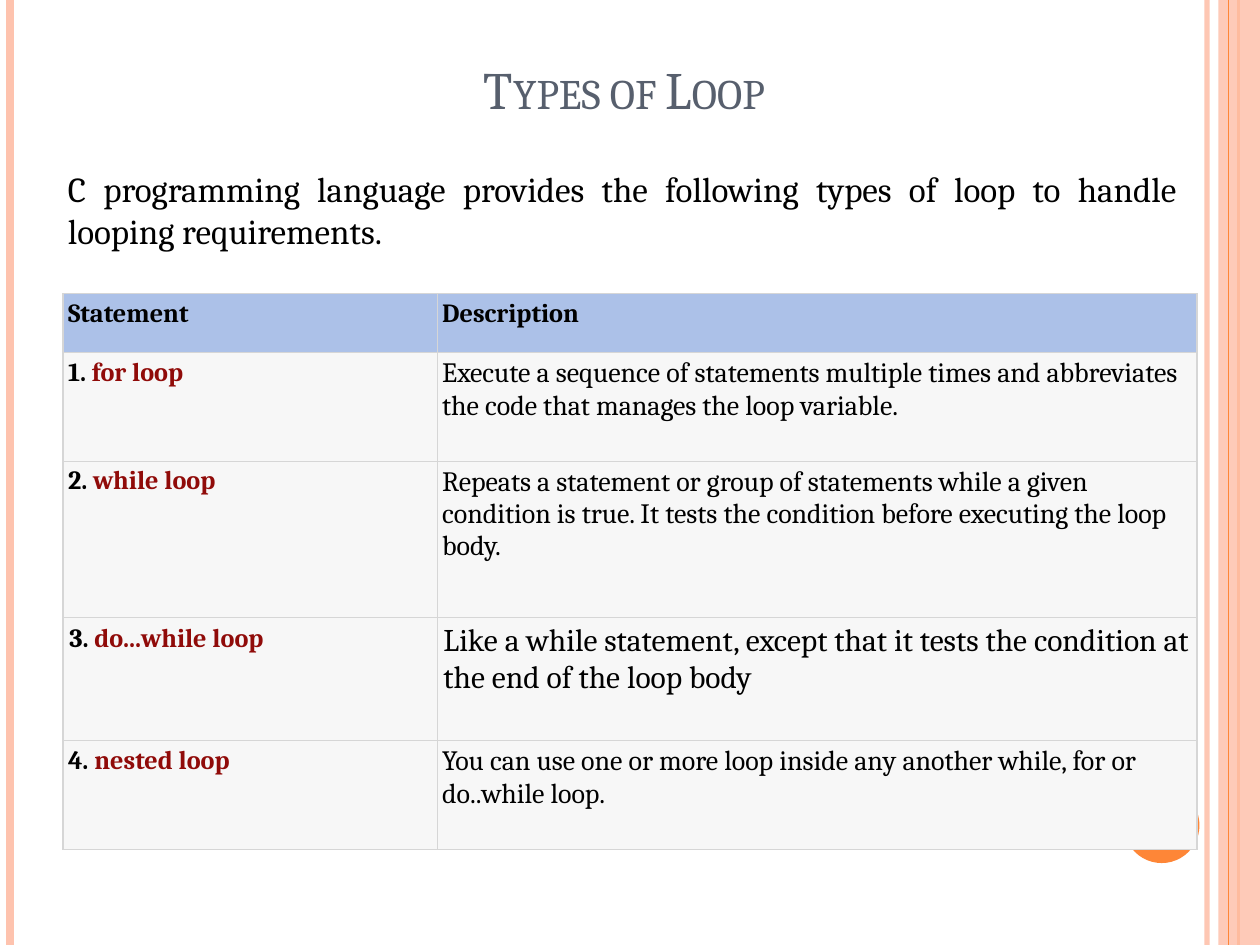
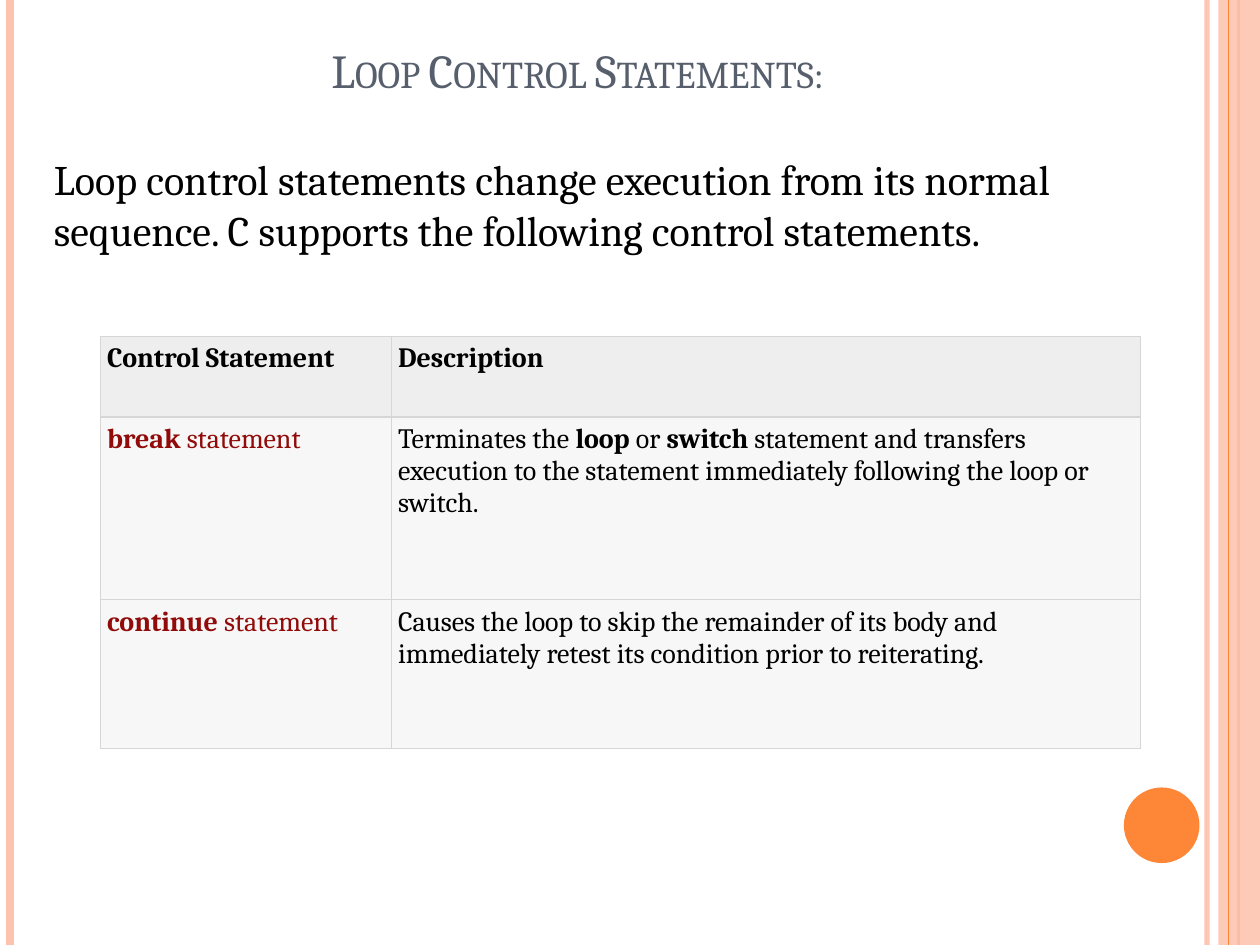
import pptx
import pptx.dml.color
import pptx.enum.shapes
import pptx.enum.text
import pptx.oxml
import pptx.oxml.ns
import pptx.util
from lxml import etree

Inches = pptx.util.Inches
Align = pptx.enum.text.PP_ALIGN
Anchor = pptx.enum.text.MSO_ANCHOR
Shape = pptx.enum.shapes.MSO_SHAPE
qn = pptx.oxml.ns.qn

FONT = "Cambria"
BLACK, SLATE, KEYWORD = "000000", "575F6D", "900B09"
PEACH, ORANGE = "FEC3AE", "FE8637"
BLUE_HEADER, GREY_HEADER, BODY_FILL, GRID = "ACC1E8", "EEEEEE", "F7F7F7", "D6D6D6"
WIDTH, HEIGHT = 10, 7.5


def colour(value):
    """Turn a hex string into a colour."""
    return pptx.dml.color.RGBColor.from_string(value)


def set_opacity(parent, percent):
    """Make the solid fill below parent partly transparent."""
    hue = next(parent.iter(qn("a:srgbClr")))
    etree.SubElement(hue, qn("a:alpha")).set("val", str(percent * 1000))


def add_run(paragraph, text, size, tint=BLACK, bold=False):
    """Append one styled run and return it."""
    run = paragraph.add_run()
    run.text = text
    run.font.name = FONT
    run.font.size = pptx.util.Pt(size)
    run.font.bold = bold
    run.font.color.rgb = colour(tint)
    return run


def add_rule(slide, x, tint, width, opacity=100):
    """Draw a full-height vertical rule."""
    rule = slide.shapes.add_connector(
        pptx.enum.shapes.MSO_CONNECTOR.STRAIGHT, Inches(x), 0, Inches(x), Inches(HEIGHT))
    rule.line.color.rgb = colour(tint)
    rule.line.width = pptx.util.Pt(width)
    properties = rule._element.spPr
    if opacity < 100:
        set_opacity(properties, opacity)
    etree.SubElement(properties, qn("a:effectLst"))


def add_plain_shape(slide, kind, box, tint):
    """Add a filled shape without outline or shadow."""
    shape = slide.shapes.add_shape(kind, *map(Inches, box))
    shape.shadow.inherit = False
    shape.fill.solid()
    shape.fill.fore_color.rgb = colour(tint)
    shape.line.fill.background()
    return shape


def add_frame(slide):
    """Draw the side bands and the page disc shared by the slides."""
    add_rule(slide, 9.58, PEACH, 3, 93)
    add_rule(slide, 0.08, PEACH, 4.5)
    add_rule(slide, 9.83, ORANGE, 1.5)
    band = add_plain_shape(slide, Shape.RECTANGLE, (9.67, 0, 0.33, HEIGHT), PEACH)
    set_opacity(band._element.spPr, 87)
    add_rule(slide, 9.75, ORANGE, 0.75)
    add_plain_shape(slide, Shape.OVAL, (8.92, 6.25, 0.6, 0.6), ORANGE)


def add_text(slide, box, text, size, tint=BLACK, align=Align.LEFT, anchor=Anchor.TOP):
    """Place one wrapped paragraph in a box and return its run."""
    frame = slide.shapes.add_textbox(*map(Inches, box)).text_frame
    frame.word_wrap = True
    frame.vertical_anchor = anchor
    paragraph = frame.paragraphs[0]
    paragraph.alignment = align
    return add_run(paragraph, text, size, tint)


def add_title(slide, box, text, size):
    """Place a centred small-caps title."""
    title = add_text(slide, box, text, size, SLATE, Align.CENTER, Anchor.BOTTOM)
    title._r.get_or_add_rPr().set("cap", "small")


def style_cell(cell, fill, inset):
    """Give a cell its grid lines, fill and margins."""
    cell.margin_left = cell.margin_right = Inches(inset)
    cell.margin_top = cell.margin_bottom = Inches(inset)
    properties = cell._tc.get_or_add_tcPr()
    for side in ("lnL", "lnR", "lnT", "lnB"):
        edge = etree.SubElement(properties, qn(f"a:{side}"), w=str(pptx.util.Pt(0.75)))
        solid = etree.SubElement(edge, qn("a:solidFill"))
        etree.SubElement(solid, qn("a:srgbClr"), val=GRID)
    cell.fill.solid()
    cell.fill.fore_color.rgb = colour(fill)


def add_statement_table(slide, left, top, widths, heights, rows, header_fill, insets):
    """Build a table whose cells are lists of run arguments."""
    table = slide.shapes.add_table(
        len(rows), len(widths), Inches(left), Inches(top),
        Inches(sum(widths)), Inches(sum(heights))).table
    for column, width in zip(table.columns, widths):
        column.width = Inches(width)
    for index, (row, height, inset) in enumerate(zip(rows, heights, insets)):
        table.rows[index].height = Inches(height)
        for cell, runs in zip(table.rows[index].cells, row):
            style_cell(cell, BODY_FILL if index else header_fill, inset)
            for run in runs:
                add_run(cell.text_frame.paragraphs[0], *run)


def header_row(size, *labels):
    """Return bold header cells."""
    return [[(label, size, BLACK, True)] for label in labels]


def build_loop_types(slide):
    """Fill the slide on the types of loop."""
    add_title(slide, (0.87, 0.22, 8.17, 0.78), "Types of Loop", 30)
    loops = [
        ("for loop", 16, "Execute a sequence of statements multiple times and abbreviates "
                         "the code that manages the loop variable."),
        ("while loop", 16, "Repeats a statement or group of statements while a given condition "
                           "is true. It tests the condition before executing the loop body."),
        ("do...while loop", 18, "Like a while statement, except that it tests the condition "
                                "at the end of the loop body"),
        ("nested loop", 16, "You can use one or more loop inside any another while, for or "
                            "do..while loop."),
    ]
    rows = [header_row(15, "Statement", "Description")]
    for number, (loop, size, description) in enumerate(loops, 1):
        rows.append([[(f"{number}. ", 15, BLACK, True), (loop, 15, KEYWORD, True)],
                     [(description, size)]])
    add_statement_table(slide, 0.5, 2.33, (2.97, 6.03), (0.47, 0.86, 1.24, 0.98, 0.86),
                        rows, BLUE_HEADER, (0.04, 0.04, 0.04, 0.05, 0.04))
    add_text(slide, (0.44, 1.28, 9, 0.77),
             "C programming language provides the following types of loop to handle "
             "looping requirements.", 20, align=Align.JUSTIFY)


def build_loop_control(slide):
    """Fill the slide on loop control statements."""
    add_title(slide, (0.5, 0.3, 8.17, 0.53), "Loop Control Statements:", 27)
    add_text(slide, (0.33, 1.17, 9.17, 0.91),
             "Loop control statements change execution from its normal sequence. "
             "C supports the following control statements.", 24)
    descriptions = {
        "break": [("Terminates the ", 16), ("loop", 16, BLACK, True), (" or ", 16),
                  ("switch", 16, BLACK, True),
                  (" statement and transfers execution to the statement immediately "
                   "following the loop or switch.", 16)],
        "continue": [("Causes the loop to skip the remainder of its body and immediately "
                      "retest its condition prior to reiterating.", 16)],
    }
    rows = [header_row(16, "Control Statement", "Description")]
    for keyword, description in descriptions.items():
        rows.append([[(keyword, 16, KEYWORD, True), (" statement", 16, KEYWORD)], description])
    add_statement_table(slide, 0.8, 2.67, (2.31, 5.94), (0.64, 1.45, 1.18),
                        rows, GREY_HEADER, (0.05,) * 3)


def main():
    """Build and save the presentation."""
    deck = pptx.Presentation()
    deck.slide_width, deck.slide_height = Inches(WIDTH), Inches(HEIGHT)
    for build in (build_loop_types, build_loop_control):
        slide = deck.slides.add_slide(deck.slide_layouts[6])
        add_frame(slide)
        build(slide)
    deck.save("out.pptx")


if __name__ == "__main__":
    main()
